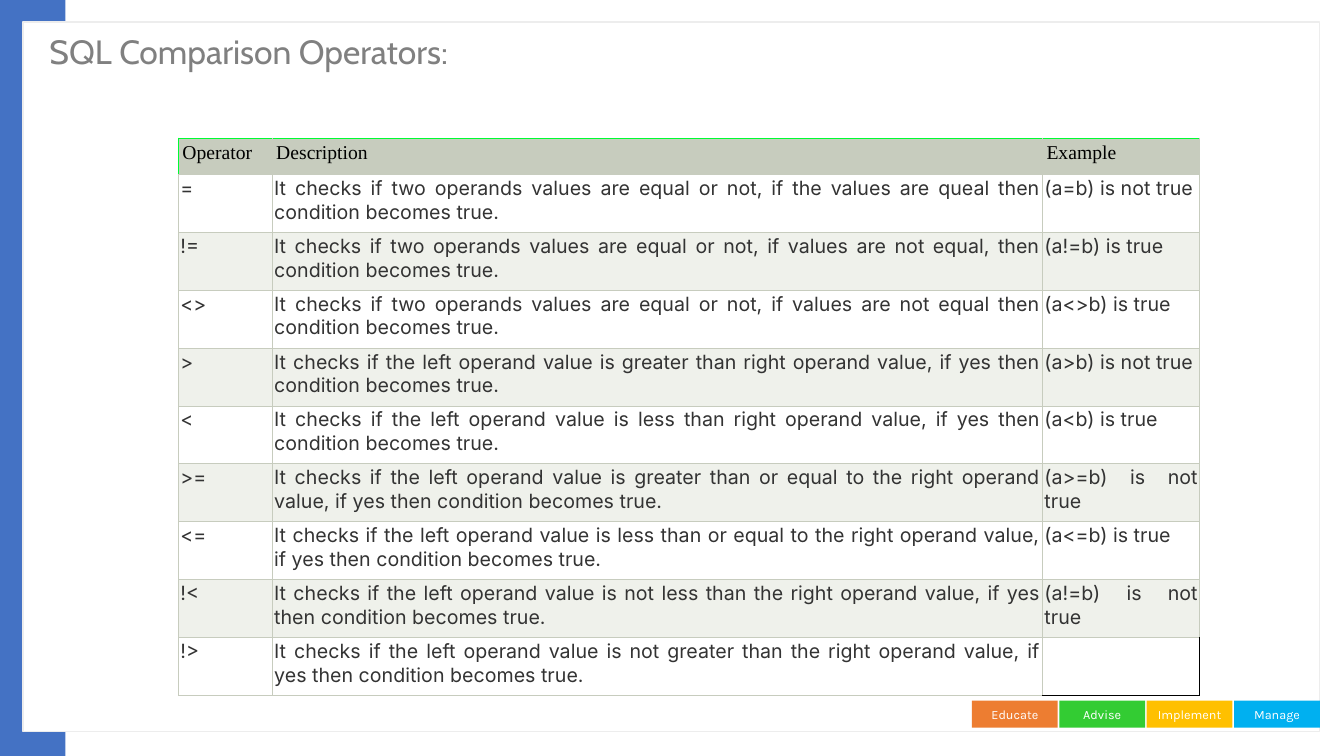
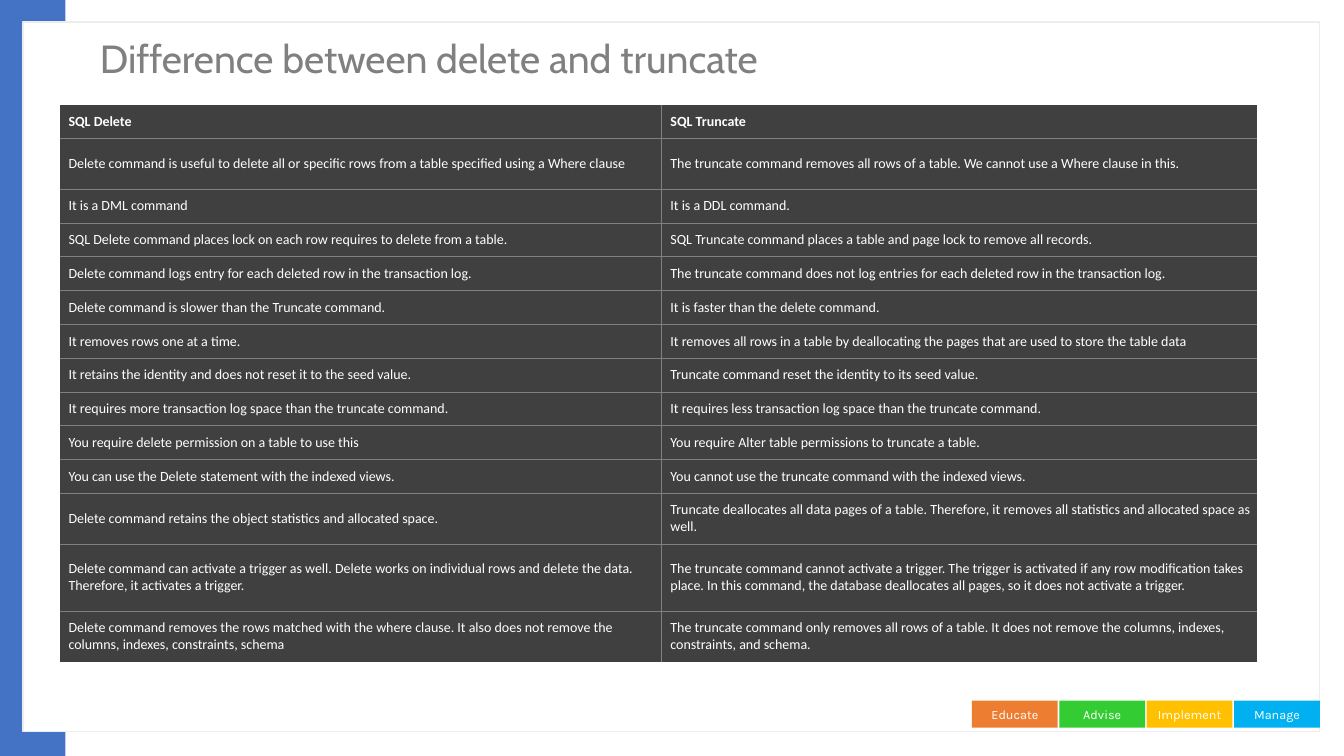
import pptx
import pptx.util
import pptx.dml.color
import pptx.enum.shapes
import pptx.enum.text
import pptx.oxml
import pptx.oxml.ns

Inches = pptx.util.Inches
Pt = pptx.util.Pt
ALIGN = pptx.enum.text.PP_ALIGN
ANCHOR = pptx.enum.text.MSO_ANCHOR

COLORS = {
    "side_band": "4472C4", "panel": "FFFFFF", "panel_line": "EDEDED",
    "title": "808080", "badge_text": "FFFFFF",
    "educate": "ED7D31", "advise": "33CC33", "implement": "FFC000", "manage": "00B0F0",
    "header": "C7CCBE", "header_edge": "00FC32", "stripe": "EFF1EB",
    "black": "000000", "ink": "333333",
    "dark_cell": "404040", "dark_rule": "808080", "white": "FFFFFF",
}
TITLE_FONT = "Cabin"
BADGES = ["Educate", "Advise", "Implement", "Manage"]

OPERATORS = [
    ("Operator", "Description", "Example"),
    ("=", "It checks if two operands values are equal or not, if the values are queal then "
          "condition becomes true.", "(a=b) is not true"),
    ("!=", "It checks if two operands values are equal or not, if values are not equal, then "
           "condition becomes true.", "(a!=b) is true"),
    ("<>", "It checks if two operands values are equal or not, if values are not equal then "
           "condition becomes true.", "(a<>b) is true"),
    (">", "It checks if the left operand value is greater than right operand value, if yes then "
          "condition becomes true.", "(a>b) is not true"),
    ("<", "It checks if the left operand value is less than right operand value, if yes then "
          "condition becomes true.", "(a<b) is true"),
    (">=", "It checks if the left operand value is greater than or equal to the right operand "
           "value, if yes then condition becomes true.", "(a>=b) is not true"),
    ("<=", "It checks if the left operand value is less than or equal to the right operand value, "
           "if yes then condition becomes true.", "(a<=b) is true"),
    ("!<", "It checks if the left operand value is not less than the right operand value, if yes "
           "then condition becomes true.", "(a!=b) is not true"),
    ("!>", "It checks if the left operand value is not greater than the right operand value, if "
           "yes then condition becomes true.", ""),
]

DIFFERENCES = [
    ("SQL Delete", "SQL Truncate"),
    ("Delete command is useful to delete all or specific rows from a table specified using a "
     "Where clause",
     "The truncate command removes all rows of a table. We cannot use a Where clause in this."),
    ("It is a DML command", "It is a DDL command."),
    ("SQL Delete command places lock on each row requires to delete from a table.",
     "SQL Truncate command places a table and page lock to remove all records."),
    ("Delete command logs entry for each deleted row in the transaction log.",
     "The truncate command does not log entries for each deleted row in the transaction log."),
    ("Delete command is slower than the Truncate command.",
     "It is faster than the delete command."),
    ("It removes rows one at a time.",
     "It removes all rows in a table by deallocating the pages that are used to store the table "
     "data"),
    ("It retains the identity and does not reset it to the seed value.",
     "Truncate command reset the identity to its seed value."),
    ("It requires more transaction log space than the truncate command.",
     "It requires less transaction log space than the truncate command."),
    ("You require delete permission on a table to use this",
     "You require Alter table permissions to truncate a table."),
    ("You can use the Delete statement with the indexed views.",
     "You cannot use the truncate command with the indexed views."),
    ("Delete command retains the object statistics and allocated space.",
     "Truncate deallocates all data pages of a table. Therefore, it removes all statistics and "
     "allocated space as well."),
    ("Delete command can activate a trigger as well. Delete works on individual rows and delete "
     "the data. Therefore, it activates a trigger.",
     "The truncate command cannot activate a trigger. The trigger is activated if any row "
     "modification takes place. In this command, the database deallocates all pages, so it does "
     "not activate a trigger."),
    ("Delete command removes the rows matched with the where clause. It also does not remove the "
     "columns, indexes, constraints, schema",
     "The truncate command only removes all rows of a table. It does not remove the columns, "
     "indexes, constraints, and schema."),
]


def rgb(name):
    return pptx.dml.color.RGBColor.from_string(COLORS[name])


def add_run(paragraph, text, font, size, color, bold=False):
    run = paragraph.add_run()
    run.text = text
    run.font.name = font
    run.font.size = Pt(size)
    run.font.bold = bold
    run.font.color.rgb = rgb(color)


def set_margins(holder, left, top, right, bottom):
    holder.margin_left, holder.margin_top = Inches(left), Inches(top)
    holder.margin_right, holder.margin_bottom = Inches(right), Inches(bottom)


def add_block(slide, box, fill, line=None):
    block = slide.shapes.add_shape(pptx.enum.shapes.MSO_SHAPE.RECTANGLE, *map(Inches, box))
    block.shadow.inherit = False
    block.fill.solid()
    block.fill.fore_color.rgb = rgb(fill)
    if line:
        block.line.color.rgb = rgb(line)
        block.line.width = Pt(1)
    else:
        block.line.fill.background()
    return block


def add_badges(slide, left, top, width, height):
    """Equal badges spread over the given box."""
    badge_width = 0.85
    pitch = (width - badge_width) / (len(BADGES) - 1)
    badges = []
    for i, label in enumerate(BADGES):
        badge = add_block(slide, (left + i * pitch, top, badge_width, height), label.lower())
        frame = badge.text_frame
        set_margins(frame, 0, 0, 0, 0)
        frame.vertical_anchor = ANCHOR.MIDDLE
        frame.paragraphs[0].alignment = ALIGN.CENTER
        add_run(frame.paragraphs[0], label, "Karla", 9, "badge_text")
        badges.append(badge)
    return badges


def dress_layout(layout, slide):
    """Draw the shared frame on the slide, then move it to the layout behind the title."""
    for placeholder in list(layout.placeholders):
        if placeholder.placeholder_format.idx != 0:
            layout.shapes.element.remove(placeholder.element)
    frame = [
        add_block(slide, (0, 0, 0.65, 7.5), "side_band"),
        add_block(slide, (0.23, 0.22, 12.86, 7.04), "panel", "panel_line"),
        *add_badges(slide, 9.64, 6.95, 3.45, 0.27),
    ]
    for part in frame:
        layout.shapes.element.append(part.element)


def set_title(slide, text, box, size, anchor):
    title = slide.shapes.title
    title.left, title.top, title.width, title.height = map(Inches, box)
    frame = title.text_frame
    frame.word_wrap = True
    frame.vertical_anchor = anchor
    paragraph = frame.paragraphs[0]
    paragraph.alignment = ALIGN.LEFT
    paragraph.line_spacing = 0.9
    add_run(paragraph, text, TITLE_FONT, size, "title")


def set_borders(cell, edges):
    """edges maps L, R, T, B to (colour, points); a missing edge gets no line.
    Call before filling the cell, as lines precede the fill in the XML."""
    properties = cell._tc.get_or_add_tcPr()
    for side in "LRTB":
        color, points = edges.get(side, (None, 0))
        paint = (f'<a:solidFill><a:srgbClr val="{COLORS[color]}"/></a:solidFill>'
                 if color else "<a:noFill/>")
        properties.append(pptx.oxml.parse_xml(
            f'<a:ln{side} {pptx.oxml.ns.nsdecls("a")} w="{int(Pt(points))}">{paint}</a:ln{side}>'))


def add_grid(slide, box, rows, column_widths, row_weights, style_cell):
    """Table whose row heights share the box by weight; style_cell formats each cell."""
    frame = slide.shapes.add_table(len(rows), len(column_widths), *map(Inches, box))
    table = frame.table
    table.first_row = table.horz_banding = False
    for column, width in zip(table.columns, column_widths):
        column.width = Inches(width)
    for row, weight in zip(table.rows, row_weights):
        row.height = Inches(box[3] * weight / sum(row_weights))
    for r, texts in enumerate(rows):
        for c, text in enumerate(texts):
            style_cell(table.cell(r, c), r, c, text)


def style_operator_cell(cell, r, c, text):
    header = r == 0
    margin = 0.04 if header else 0.02
    set_margins(cell, margin, margin, margin, margin)
    edges = dict.fromkeys("LRTB", ("header", 0.6))
    if header:
        edges["T"] = ("header_edge", 0.6)
        if c == 0:
            edges["L"] = ("header_edge", 0.6)
    if not text:
        edges["R"] = edges["B"] = ("black", 1)
    set_borders(cell, edges)
    cell.fill.solid()
    cell.fill.fore_color.rgb = rgb("header" if header else "white" if r % 2 else "stripe")
    paragraph = cell.text_frame.paragraphs[0]
    if header:
        add_run(paragraph, text, "Times New Roman", 14, "black")
    elif text:
        paragraph.alignment = ALIGN.JUSTIFY
        add_run(paragraph, text, "Inter", 14, "ink")


def style_difference_cell(cell, r, c, text):
    set_margins(cell, 0.09, 0.07, 0.02, 0.07)
    cell.vertical_anchor = ANCHOR.MIDDLE
    inner = {"R" if c == 0 else "L"}
    if r > 0:
        inner.add("T")
    if r < len(DIFFERENCES) - 1:
        inner.add("B")
    set_borders(cell, dict.fromkeys(inner, ("dark_rule", 0.5)))
    cell.fill.solid()
    cell.fill.fore_color.rgb = rgb("dark_cell")
    add_run(cell.text_frame.paragraphs[0], text, "Calibri", 10, "white", bold=r == 0)


def build_operators(slide):
    set_title(slide, "SQL Comparison Operators:", (0.39, 0.3, 10.32, 0.87), 24, ANCHOR.TOP)
    add_grid(slide, (1.77, 1.37, 10.13, 5.53), OPERATORS, [0.93, 7.64, 1.56],
             [0.63] + [1] * 9, style_operator_cell)


def build_differences(slide):
    set_title(slide, "Difference between delete and truncate", (0.89, 0.17, 10.32, 0.87), 28,
              ANCHOR.MIDDLE)
    add_grid(slide, (0.59, 1.04, 11.88, 5.53), DIFFERENCES, [5.97, 5.91],
             [1, 1.5] + [1] * 9 + [1.5, 2, 1.5], style_difference_cell)


def main():
    deck = pptx.Presentation()
    deck.slide_width, deck.slide_height = Inches(13.33), Inches(7.5)
    layout = deck.slide_layouts[5]
    operators = deck.slides.add_slide(layout)
    dress_layout(layout, operators)
    build_operators(operators)
    build_differences(deck.slides.add_slide(layout))
    deck.save("out.pptx")


if __name__ == "__main__":
    main()
